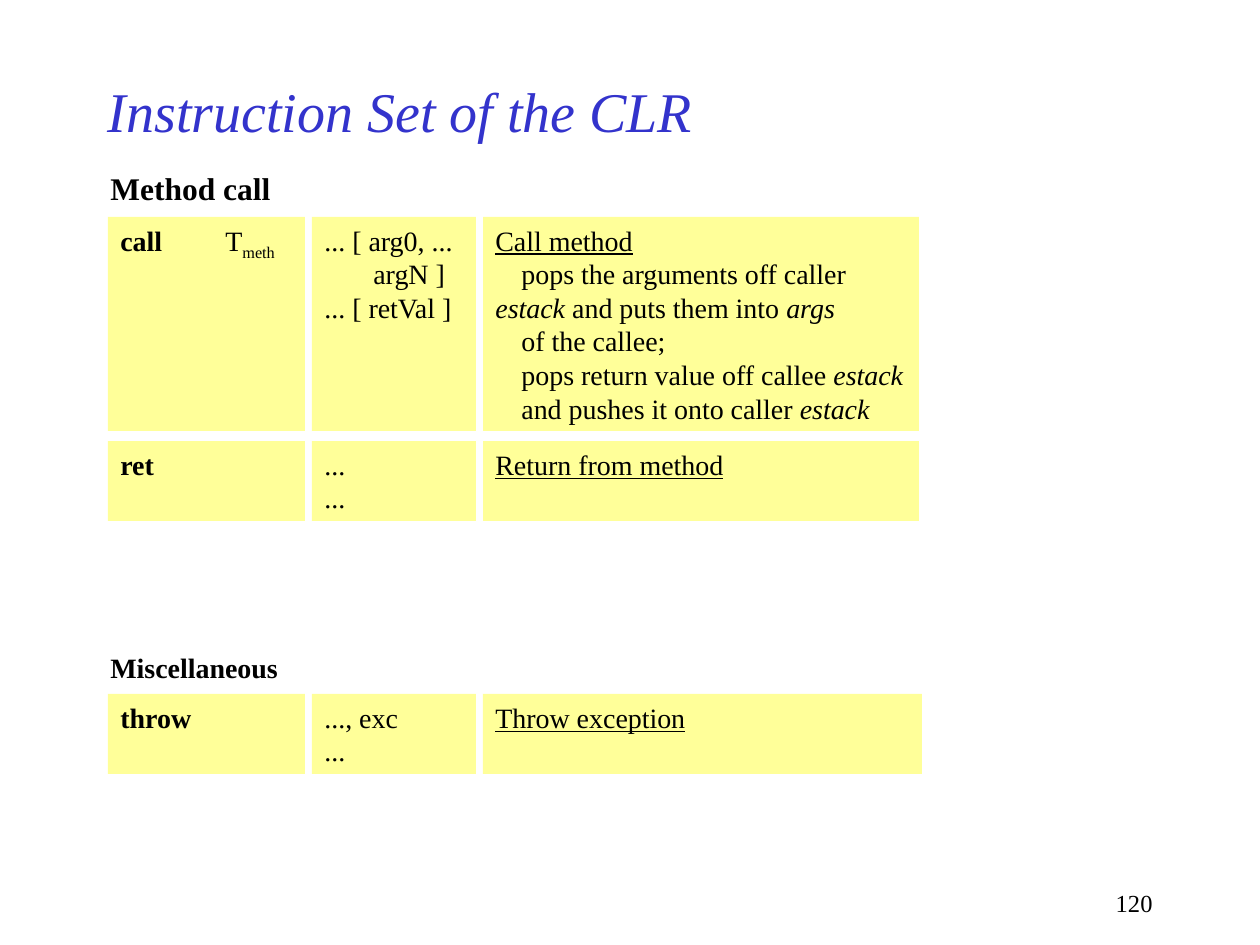
from dataclasses import dataclass

import pptx
import pptx.dml.color
import pptx.enum.shapes
import pptx.enum.text
import pptx.oxml.ns
import pptx.util
from lxml import etree

PX_PER_INCH = 126
ALIGN = pptx.enum.text.PP_ALIGN
ANCHOR = pptx.enum.text.MSO_ANCHOR


def px(length):
    return pptx.util.Emu(round(length * 914400 / PX_PER_INCH))


def box(left, top, width, height):
    return px(left), px(top), px(width), px(height)


@dataclass(frozen=True)
class Theme:
    font: str = "Times New Roman"
    title_color: str = "3333CC"
    text_color: str = "000000"
    cell_color: str = "FFFF99"
    title_size: int = 32
    heading_size: int = 18
    body_size: int = 16
    number_size: int = 14


class SlideBuilder:
    """Draws styled elements on one slide."""

    def __init__(self, slide, theme):
        self.slide = slide
        self.theme = theme

    def add_run(self, paragraph, text, style, size, color):
        """Add a run; style is a set of words: bold, italic, underline, subscript."""
        if text == "\n":
            paragraph.add_line_break()
            return
        run = paragraph.add_run()
        run.text = text
        font = run.font
        font.name = self.theme.font
        font.size = pptx.util.Pt(size)
        font.color.rgb = pptx.dml.color.RGBColor.from_string(color)
        words = style.split()
        font.bold = "bold" in words
        font.italic = "italic" in words
        font.underline = "underline" in words
        if "subscript" in words:
            run._r.get_or_add_rPr().set("baseline", "-25000")

    def add_tab_stop(self, paragraph, position):
        qn = pptx.oxml.ns.qn
        tabs = etree.SubElement(paragraph._p.get_or_add_pPr(), qn("a:tabLst"))
        etree.SubElement(tabs, qn("a:tab"), pos=str(px(position)), algn="l")

    def fill_text(self, shape, paragraphs, size, color=None, align=ALIGN.LEFT, tab=None):
        frame = shape.text_frame
        for index, runs in enumerate(paragraphs):
            paragraph = frame.add_paragraph() if index else frame.paragraphs[0]
            paragraph.alignment = align
            if tab:
                self.add_tab_stop(paragraph, tab)
            for text, style in runs:
                self.add_run(paragraph, text, style, size, color or self.theme.text_color)

    def title(self, text, *bounds):
        shape = self.slide.shapes.title
        shape.left, shape.top, shape.width, shape.height = box(*bounds)
        shape.text_frame.vertical_anchor = ANCHOR.MIDDLE
        self.fill_text(shape, [[(text, "italic")]], self.theme.title_size, self.theme.title_color)

    def label(self, text, style, size, *bounds, align=ALIGN.LEFT, wrap=False):
        shape = self.slide.shapes.add_textbox(*box(*bounds))
        shape.text_frame.word_wrap = wrap
        self.fill_text(shape, [[(text, style)]], size, align=align)

    def cell(self, paragraphs, tab, *bounds):
        shape = self.slide.shapes.add_shape(
            pptx.enum.shapes.MSO_SHAPE.RECTANGLE, *box(*bounds))
        shape.shadow.inherit = False
        shape.fill.solid()
        shape.fill.fore_color.rgb = pptx.dml.color.RGBColor.from_string(self.theme.cell_color)
        shape.line.fill.background()
        frame = shape.text_frame
        frame.word_wrap = True
        frame.auto_size = pptx.enum.text.MSO_AUTO_SIZE.SHAPE_TO_FIT_TEXT
        frame.vertical_anchor = ANCHOR.TOP
        self.fill_text(shape, paragraphs, self.theme.body_size, tab=tab)

    def instruction(self, top, height, cells, description_width=436):
        """Draw one row: instruction, evaluation stack, description."""
        left, gap = 108, 7
        widths = (197, 164, description_width)
        for paragraphs, width, tab in zip(cells, widths, (105, 49, 26)):
            self.cell(paragraphs, tab, left, top, width, height)
            left += width + gap


def plain(*lines):
    return [[(line, "")] for line in lines]


CALL = (
    [[("call\t", "bold"), ("T", ""), ("meth", "subscript")]],
    plain("... [ arg0, ...", "\targN ]", "... [ retVal ]"),
    [
        [("Call method", "underline")],
        [("\tpops the arguments off caller \t", ""), ("estack", "italic"),
         (" and puts them into ", ""), ("args", "italic")],
        [("\tof the callee;", ""), ("\n", ""),
         ("\tpops return value off callee ", ""), ("estack", "italic")],
        [("\tand pushes it onto caller ", ""), ("estack", "italic")],
    ],
)
RETURN = (
    [[("ret", "bold")]],
    plain("...", "..."),
    [[("Return from method", "underline")]],
)
THROW = (
    [[("throw", "bold")]],
    plain("..., exc", "..."),
    [[("Throw exception", "underline")]],
)


def main():
    presentation = pptx.Presentation()
    presentation.slide_width = pptx.util.Inches(10)
    presentation.slide_height = pptx.util.Inches(7.5)
    theme = Theme()
    slide = presentation.slides.add_slide(presentation.slide_layouts[5])
    builder = SlideBuilder(slide, theme)

    builder.label("120", "", theme.number_size, 903, 882, 262, 42, align=ALIGN.RIGHT, wrap=True)
    builder.title("Instruction Set of the CLR", 95, 63, 945, 95)

    builder.label("Method call", "bold", theme.heading_size, 98, 163, 185, 50)
    builder.instruction(217, 214, CALL)
    builder.instruction(441, 80, RETURN)

    builder.label("Miscellaneous", "bold", theme.body_size, 98, 644, 193, 46)
    builder.instruction(694, 80, THROW, description_width=439)

    presentation.save("out.pptx")


if __name__ == "__main__":
    main()
